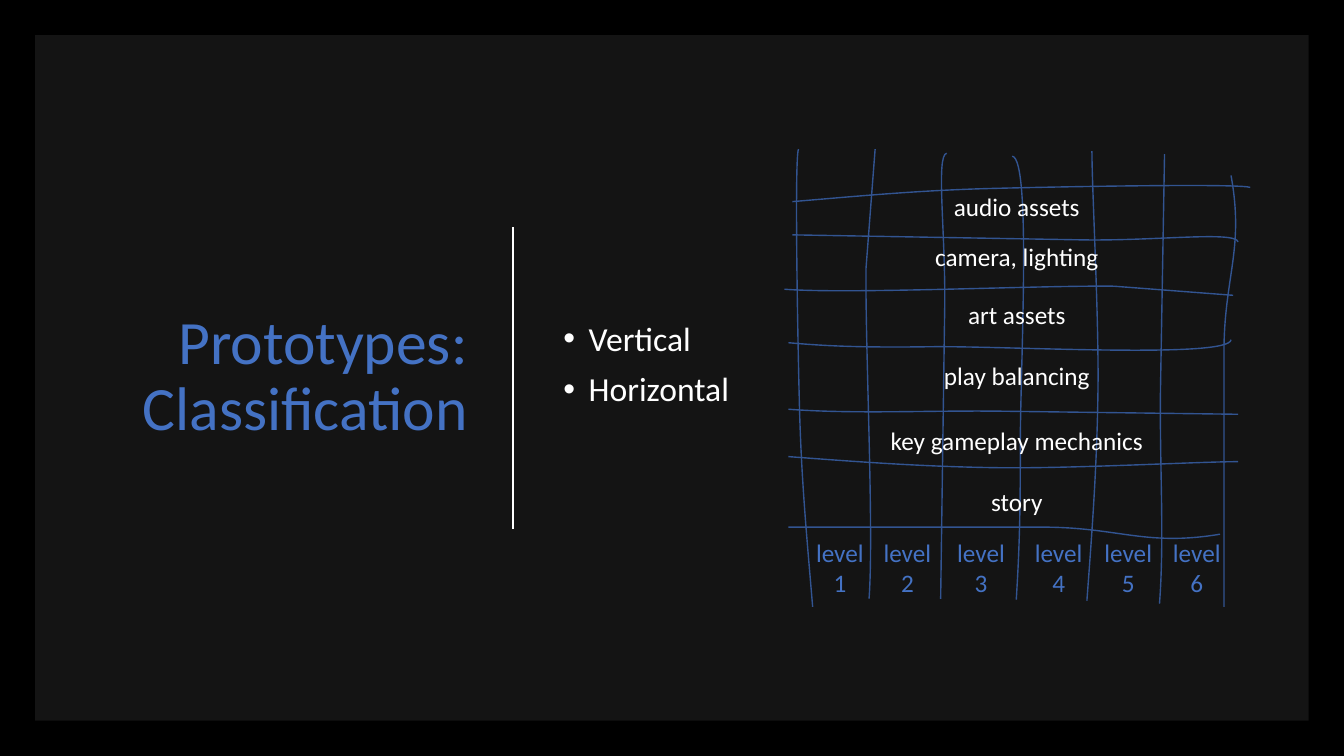
import lxml.etree
import pptx
import pptx.dml.color
import pptx.enum.shapes
import pptx.enum.text
import pptx.oxml.ns
import pptx.util
from pptx.util import Inches

WHITE = pptx.dml.color.RGBColor(0xFF, 0xFF, 0xFF)
BLACK = pptx.dml.color.RGBColor(0x00, 0x00, 0x00)
BLUE = pptx.dml.color.RGBColor(0x44, 0x72, 0xC4)
STROKE_BLUE = pptx.dml.color.RGBColor(0x32, 0x54, 0x91)

ALIGN = pptx.enum.text.PP_ALIGN
ANCHOR = pptx.enum.text.MSO_ANCHOR

# Each stroke is a start point and its segments:
# one point makes a straight segment, three make a Bézier curve.
ROW_STROKES = [
    ((7.86, 2), [[(8.47, 1.95), (9.07, 1.89), (9.83, 1.87)],
                 [(10.59, 1.85), (12.32, 1.82), (12.4, 1.86)]]),
    ((7.86, 2.33), [[(10.75, 2.38)],
                    [(11.48, 2.39), (12.25, 2.29), (12.28, 2.4)]]),
    ((7.78, 2.87), [[(8.44, 2.92), (10.31, 2.83), (11.05, 2.84)],
                    [(12.23, 2.93)]]),
    ((7.82, 3.4), [[(8.16, 3.43), (8.5, 3.45), (9.23, 3.44)],
                   [(9.97, 3.43), (12.19, 3.56), (12.21, 3.37)]]),
    ((7.82, 4.06), [[(8.49, 4.11), (9.21, 4.07), (9.95, 4.08)],
                    [(12.28, 4.11)]]),
    ((7.82, 4.53), [[(8.49, 4.58), (9.15, 4.63), (9.89, 4.64)],
                    [(10.64, 4.65), (11.89, 4.58), (12.28, 4.58)]]),
    ((7.82, 5.23), [[(10.4, 5.23)],
                    [(11.11, 5.24), (11.38, 5.42), (12.1, 5.3)]]),
]
COLUMN_STROKES = [
    ((8.06, 6.02), [[(8.01, 5.41), (7.95, 4.81), (7.93, 4.05)],
                    [(7.91, 3.29), (7.88, 1.56), (7.92, 1.48)]]),
    ((8.62, 5.94), [[(8.67, 5.27), (8.58, 3.41), (8.59, 2.66)],
                    [(8.68, 1.48)]]),
    ((9.33, 5.94), [[(9.37, 3.05)],
                    [(9.38, 2.31), (9.28, 1.54), (9.39, 1.52)]]),
    ((10.08, 5.95), [[(10.1, 5.61), (10.12, 5.27), (10.12, 4.53)],
                     [(10.11, 3.8), (10.24, 1.58), (10.04, 1.55)]]),
    ((10.78, 5.96), [[(10.83, 5.29), (10.88, 4.63), (10.89, 3.88)],
                     [(10.9, 3.14), (10.83, 1.88), (10.83, 1.5)]]),
    ((11.5, 5.99), [[(11.55, 5.33), (11.5, 4.61), (11.51, 3.86)],
                    [(11.55, 1.53)]]),
    ((12.14, 6.02), [[(12.14, 3.44)],
                     [(12.15, 2.73), (12.34, 2.46), (12.21, 1.74)]]),
]
LEVEL_LEFTS = [7.99, 8.66, 9.39, 10.16, 10.85, 11.53]
LAYER_TOPS = {
    "audio assets": 1.85,
    "camera, lighting": 2.34,
    "art assets": 2.92,
    "play balancing": 3.53,
    "key gameplay mechanics": 4.17,
    "story": 4.78,
}


def add_text(slide, text, left, top, width, height, *, size=18, color=WHITE,
             align=ALIGN.CENTER, anchor=ANCHOR.TOP, wrap=False,
             line_spacing=None, space_before=None, bulleted=False):
    """Add a text box; text is one paragraph or a list of paragraphs."""
    box = slide.shapes.add_textbox(
        Inches(left), Inches(top), Inches(width), Inches(height))
    frame = box.text_frame
    frame.word_wrap = wrap
    frame.vertical_anchor = anchor
    paragraphs = [text] if isinstance(text, str) else text
    for index, words in enumerate(paragraphs):
        paragraph = frame.add_paragraph() if index else frame.paragraphs[0]
        paragraph.text = words
        paragraph.alignment = align
        paragraph.line_spacing = line_spacing
        paragraph.space_before = space_before
        for run in paragraph.runs:
            run.font.name = "Calibri"
            run.font.size = pptx.util.Pt(size)
            run.font.color.rgb = color
        if bulleted:
            add_bullet(paragraph)


def add_bullet(paragraph):
    properties = paragraph._p.get_or_add_pPr()
    properties.set("marL", str(Inches(0.25)))
    properties.set("indent", str(-Inches(0.25)))
    font = lxml.etree.SubElement(properties, pptx.oxml.ns.qn("a:buFont"))
    font.set("typeface", "Arial")
    bullet = lxml.etree.SubElement(properties, pptx.oxml.ns.qn("a:buChar"))
    bullet.set("char", "•")


def add_panel(slide):
    panel = slide.shapes.add_shape(
        pptx.enum.shapes.MSO_SHAPE.RECTANGLE,
        Inches(0.35), Inches(0.35), Inches(12.63), Inches(6.8))
    panel.shadow.inherit = False
    panel.line.fill.background()
    panel.fill.solid()
    panel.fill.fore_color.rgb = WHITE
    color = panel._element.spPr.find(".//" + pptx.oxml.ns.qn("a:srgbClr"))
    alpha = lxml.etree.SubElement(color, pptx.oxml.ns.qn("a:alpha"))
    alpha.set("val", "8000")


def add_divider(slide):
    divider = slide.shapes.add_connector(
        pptx.enum.shapes.MSO_CONNECTOR.STRAIGHT,
        Inches(5.09), Inches(2.25), Inches(5.09), Inches(5.25))
    divider.line.color.rgb = WHITE
    divider.line.width = pptx.util.Pt(1.5)
    lxml.etree.SubElement(
        divider._element.spPr, pptx.oxml.ns.qn("a:effectLst"))


def add_stroke(group, start, segments):
    """Draw through all points, then turn each three-point segment into a curve."""
    builder = group.shapes.build_freeform(Inches(start[0]), Inches(start[1]))
    builder.add_line_segments(
        [(Inches(x), Inches(y)) for segment in segments for x, y in segment],
        close=False)
    stroke = builder.convert_to_shape()
    stroke.shadow.inherit = False
    stroke.fill.background()
    stroke.line.color.rgb = STROKE_BLUE
    stroke.line.width = pptx.util.Pt(1)

    steps = iter(stroke._element.findall(".//" + pptx.oxml.ns.qn("a:lnTo")))
    for segment in segments:
        lines = [next(steps) for _ in segment]
        if len(lines) == 3:
            outline = lines[0].getparent()
            curve = lxml.etree.Element(pptx.oxml.ns.qn("a:cubicBezTo"))
            outline.insert(outline.index(lines[0]), curve)
            for line in lines:
                curve.append(line[0])
                outline.remove(line)


def add_grid(slide):
    for strokes in (ROW_STROKES, COLUMN_STROKES):
        group = slide.shapes.add_group_shape()
        for start, segments in strokes:
            add_stroke(group, start, segments)


def main():
    presentation = pptx.Presentation()
    presentation.slide_width = Inches(13.33)
    presentation.slide_height = Inches(7.5)
    slide = presentation.slides.add_slide(presentation.slide_layouts[6])
    slide.background.fill.solid()
    slide.background.fill.fore_color.rgb = BLACK

    add_panel(slide)
    add_text(slide, "Prototypes:\vClassification", 0.92, 1.05, 3.82, 5.39,
             size=44, color=BLUE, align=ALIGN.RIGHT, anchor=ANCHOR.MIDDLE,
             wrap=True, line_spacing=0.9)
    add_divider(slide)
    add_grid(slide)
    for number, left in enumerate(LEVEL_LEFTS, start=1):
        add_text(slide, f"level\v{number}", left, 5.28, 0.68, 0.71, color=BLUE)
    for layer, top in LAYER_TOPS.items():
        add_text(slide, layer, 8.72, top, 2.73, 0.4)
    add_text(slide, ["Vertical", "Horizontal"], 5.49, 0.93, 3.49, 5.39,
             size=24, align=ALIGN.LEFT, anchor=ANCHOR.MIDDLE, wrap=True,
             line_spacing=0.9, space_before=pptx.util.Pt(10), bulleted=True)
    presentation.save("out.pptx")


if __name__ == "__main__":
    main()
